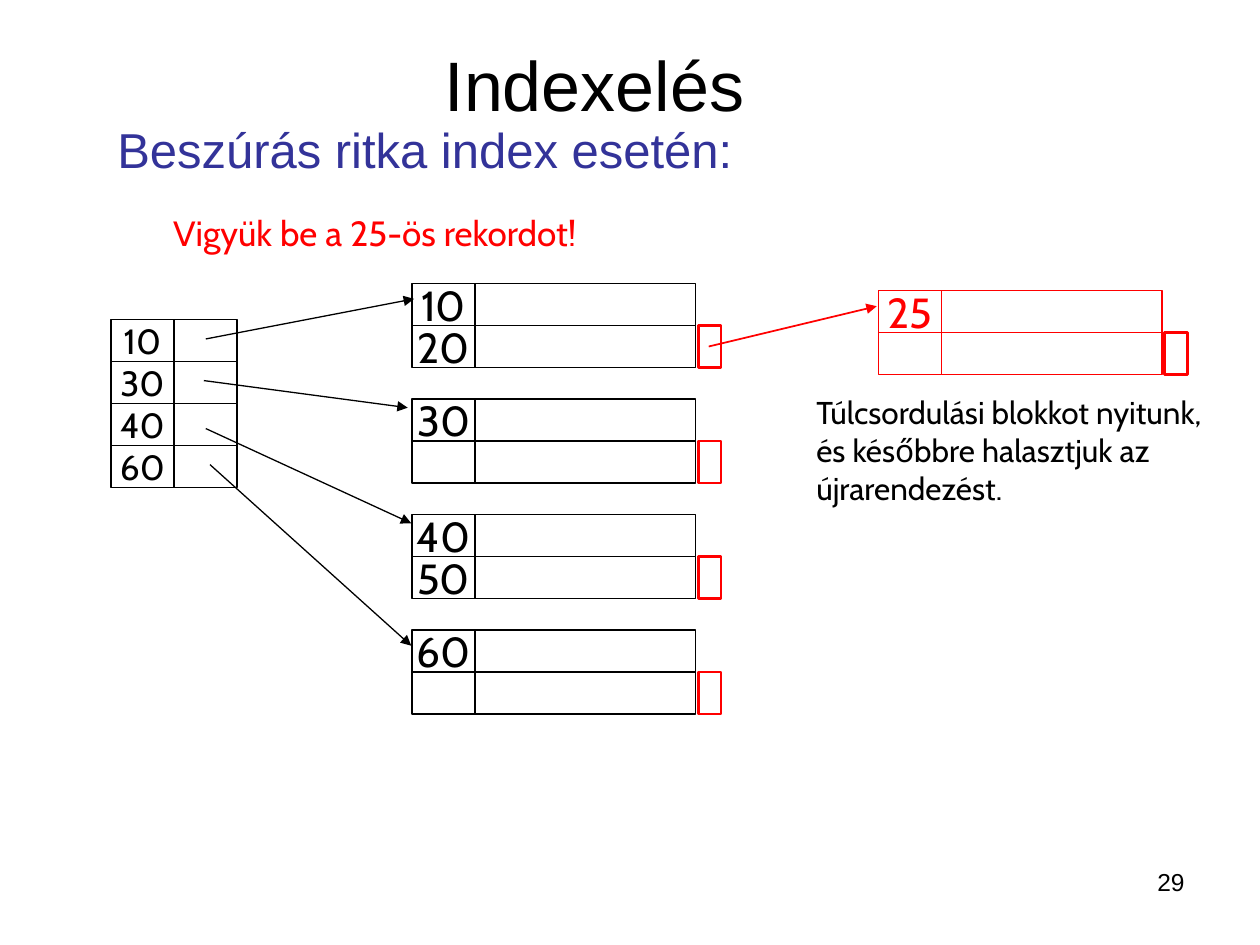
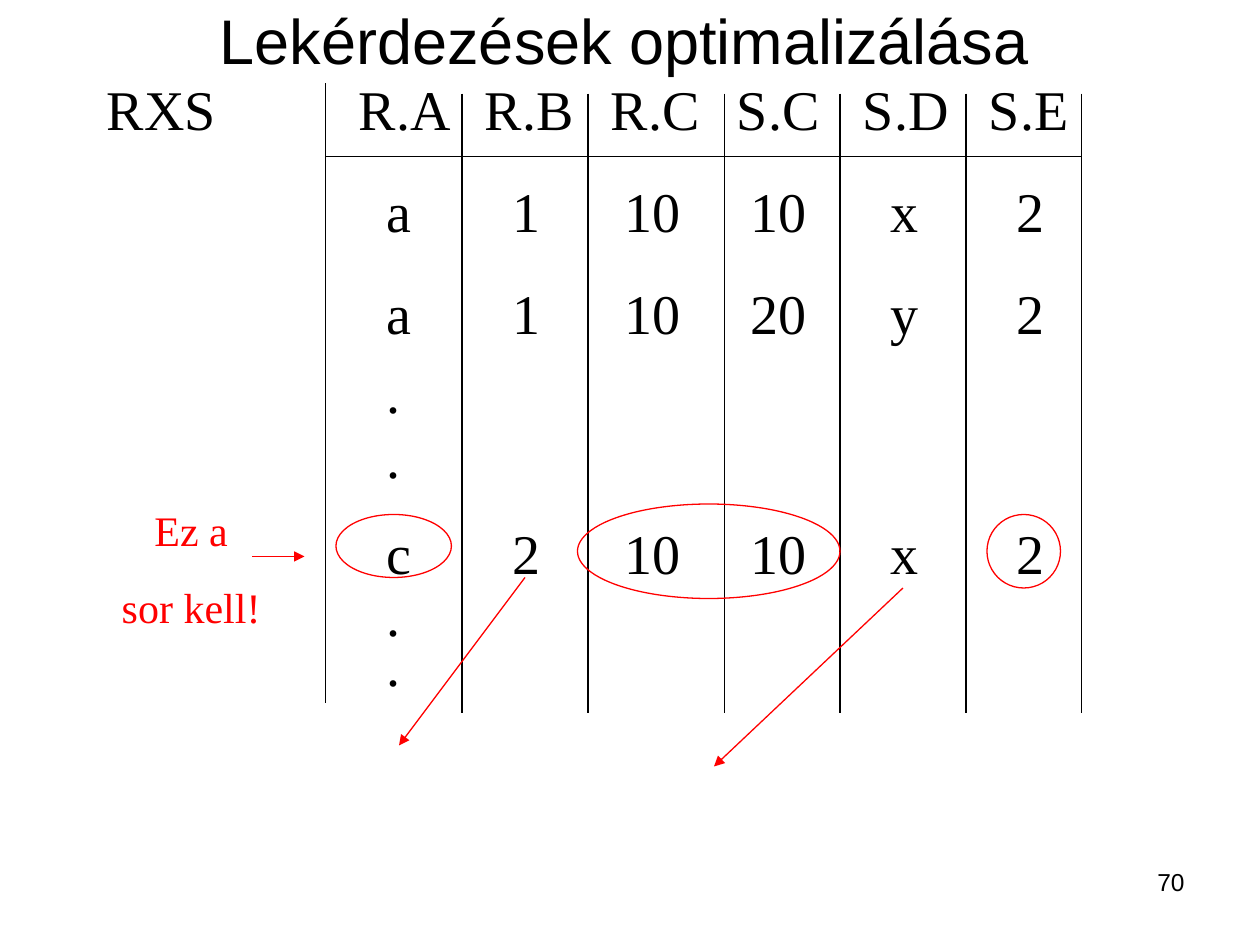
"""Builds two slides: inserting into a sparse index, and a query's cross product."""
from lxml import etree
from pptx import Presentation
from pptx.dml.color import RGBColor
from pptx.enum.shapes import MSO_CONNECTOR, MSO_SHAPE
from pptx.enum.text import MSO_ANCHOR, PP_ALIGN
from pptx.oxml.ns import qn
from pptx.util import Pt

STRAIGHT = MSO_CONNECTOR.STRAIGHT
RECT, OVAL = MSO_SHAPE.RECTANGLE, MSO_SHAPE.OVAL
TOP, MIDDLE = MSO_ANCHOR.TOP, MSO_ANCHOR.MIDDLE
LEFT, CENTER, RIGHT = PP_ALIGN.LEFT, PP_ALIGN.CENTER, PP_ALIGN.RIGHT
COLORS = {"ink": "000000", "paper": "FFFFFF", "accent": "FF0000", "heading": "333399"}
RGB = {name: RGBColor.from_string(value) for name, value in COLORS.items()}
SANS, BODY, SERIF = "Arial", "Cabin", "Times New Roman"


def add_box(s, x, y, w, h, lines=(), size=24, font=BODY, color="ink", align=LEFT,
            anchor=MIDDLE, wrap=True, gap=0, kind=None, weight=0.75):
    """Add a text box, or an outlined shape when a kind is given."""
    place = Pt(x), Pt(y), Pt(w), Pt(h)
    if kind is None:
        sp = s.shapes.add_textbox(*place)
    else:
        sp = s.shapes.add_shape(kind, *place)
        sp.shadow.inherit = False
        sp.line.color.rgb = RGB[color]
        sp.line.width = Pt(weight)
        if kind == RECT:
            sp.fill.solid()
            sp.fill.fore_color.rgb = RGB["paper"]
        else:
            sp.fill.background()
    tf = sp.text_frame
    tf.word_wrap = wrap
    tf.vertical_anchor = anchor
    for i, line in enumerate(lines):
        p = tf.paragraphs[0] if i == 0 else tf.add_paragraph()
        p.add_run().text = line
        p.alignment = align
        if i and gap:
            p.space_before = Pt(gap)
        p.font.size = Pt(size)
        p.font.name = font
        p.font.color.rgb = RGB[color]
    return sp


def add_line(s, x1, y1, x2, y2, color="ink", weight=0.75, arrow=True):
    """Add a straight line, with an arrowhead at its end if asked."""
    c = s.shapes.add_connector(STRAIGHT, Pt(x1), Pt(y1), Pt(x2), Pt(y2))
    c.line.color.rgb = RGB[color]
    c.line.width = Pt(weight)
    if arrow:
        etree.SubElement(c.line._get_or_add_ln(), qn("a:tailEnd"), type="triangle")
    etree.SubElement(c._element.spPr, qn("a:effectLst"))


prs = Presentation()
prs.slide_width, prs.slide_height = Pt(720), Pt(540)
slides = []
for number in ("29", "70"):
    s = prs.slides.add_slide(prs.slide_layouts[6])
    add_box(s, 516, 492, 168, 37.5, [number], 14, SANS, align=RIGHT, anchor=TOP)
    slides.append(s)

s = slides[0]
KEY_W, RECORD_W, ROW_H = 36, 126, 24
blocks = [(235.5, 162 + 66 * i, keys, "ink")
          for i, keys in enumerate((("10", "20"), ("30", ""), ("40", "50"), ("60", "")))]
blocks.append((502, 165.9, ("25", ""), "accent"))
for x, y, keys, color in blocks:
    for row, key in enumerate(keys):
        top = y + row * ROW_H
        add_box(s, x, top, KEY_W, ROW_H, [key] if key else [], color=color,
                align=CENTER, wrap=False, kind=RECT)
        add_box(s, x + KEY_W, top, RECORD_W, ROW_H, color=color, kind=RECT)
    add_box(s, x + 163.5, y + ROW_H, 13, ROW_H, color="accent", kind=RECT, weight=1.5)

for row, key in enumerate(("10", "30", "40", "60")):
    top = 182.7 + row * ROW_H
    add_box(s, 63.4, top, KEY_W, ROW_H, [key], 20, align=CENTER, wrap=False, kind=RECT)
    add_box(s, 63.4 + KEY_W, top, KEY_W, ROW_H, kind=RECT)

for ends in ((117.6, 193.7, 236.6, 170.8), (116.5, 217.5, 233, 233),
             (117.6, 244.9, 235, 299), (120, 265.5, 235, 369)):
    add_line(s, *ends)
add_line(s, 405, 198, 501, 175, "accent", 1)

add_box(s, 459.4, 221, 266, 72, ["Túlcsordulási blokkot nyitunk,",
                               "és későbbre halasztjuk az", "újrarendezést."], 18)
add_box(s, 60, 55, 612, 60, ["Beszúrás ritka index esetén:"], 28, SANS, "heading")
add_box(s, 78.5, 116.6, 271.5, 32, ["Vigyük be a 25-ös rekordot!"], 20,
        color="accent", align=CENTER)
add_box(s, 247, 20, 232.5, 55.5, ["Indexelés"], 40, SANS, anchor=TOP)

s = slides[1]
rows = [
    (("RXS", "R.A", "R.B", "R.C", "S.C", "S.D", "S.E"), 1),
    (("", "a", "1", "10", "10", "x", "2"), 1),
    (("", "a", "1", "10", "20", "y", "2"), 1),
    (("", "."), 0.6),
    (("", "."), 0.4),
    (("", "c", "2", "10", "10", "x", "2"), 1),
    (("", "."), 0.3),
    (("", "."), 0.2),
]
INDENT = {1: 16, 2: 8, 3: 0}
sp = add_box(s, 54, 39, 588, 358.5)
tf = sp.text_frame
for i, (cells, spacing) in enumerate(rows):
    p = tf.paragraphs[0] if i == 0 else tf.add_paragraph()
    p.add_run().text = "\t".join(cells)
    p.line_spacing = spacing
    if i:
        p.space_before = Pt(20)
    tabs = etree.SubElement(p._p.get_or_add_pPr(), qn("a:tabLst"))
    for col, cell in enumerate(cells[1:]):
        stop = Pt(144 + 72 * col + INDENT[len(cell)])
        etree.SubElement(tabs, qn("a:tab"), pos=str(int(stop)), algn="l")
    p.font.size = Pt(32)
    p.font.name = SERIF
    p.font.color.rgb = RGB["ink"]

add_line(s, 186, 89.5, 618, 89.5, arrow=False)
add_line(s, 186, 47.5, 186, 401.5, arrow=False)
for x in (264, 336, 414, 480, 552, 618):
    add_line(s, x, 53.5, x, 407.5, arrow=False)

for place in ((564, 294, 42, 42), (330, 288, 150, 54), (192, 294, 66, 36)):
    add_box(s, *place, color="accent", kind=OVAL)
for ends in ((300, 330, 228, 426), (516, 336, 408, 438), (144, 318, 174, 318)):
    add_line(s, *ends, "accent")
add_box(s, 62.5, 284.5, 93.5, 80, ["Ez a", "sor kell!"], 24, SERIF, "accent",
        CENTER, wrap=False, gap=15)
add_box(s, 36, 11.5, 641.5, 21.5, ["Lekérdezések optimalizálása"], 36, SANS, align=CENTER)

prs.save("out.pptx")
